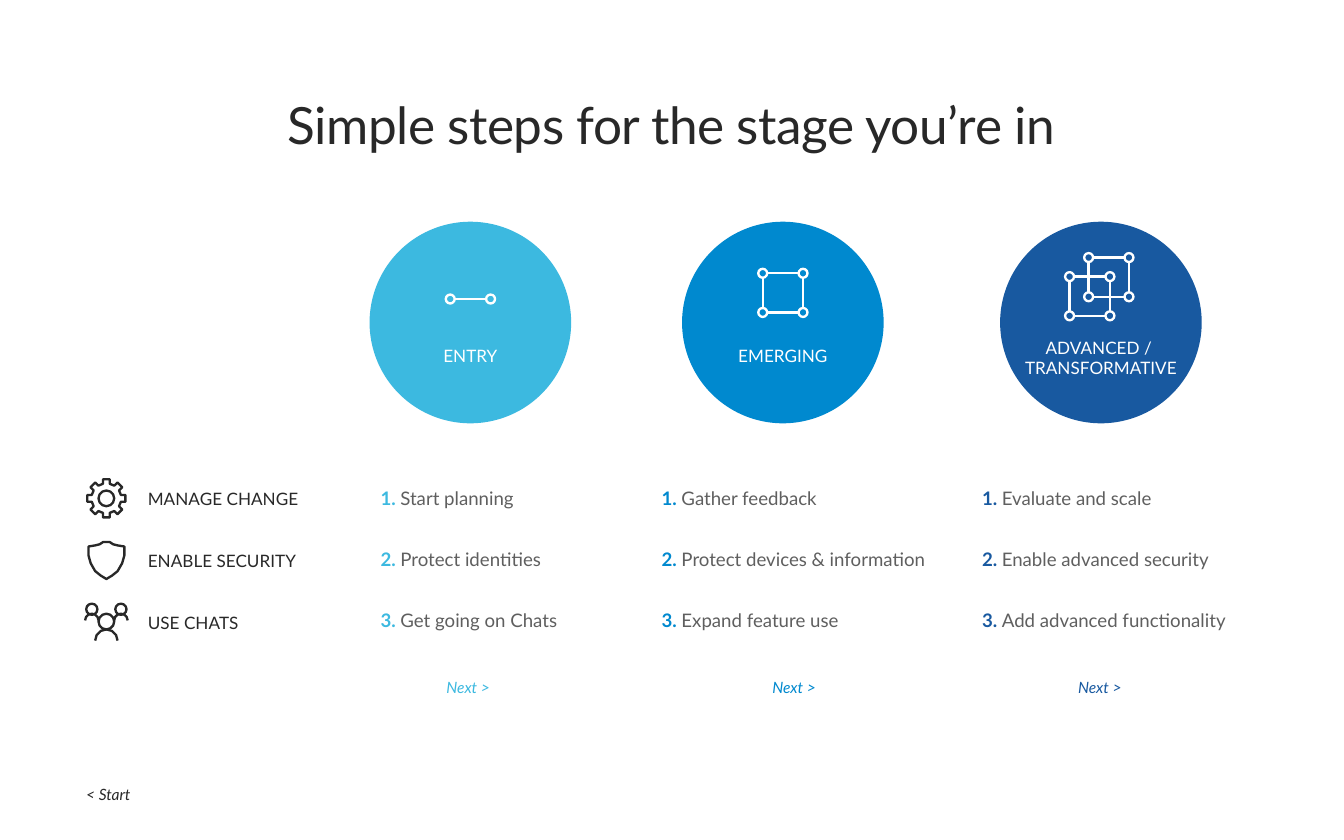
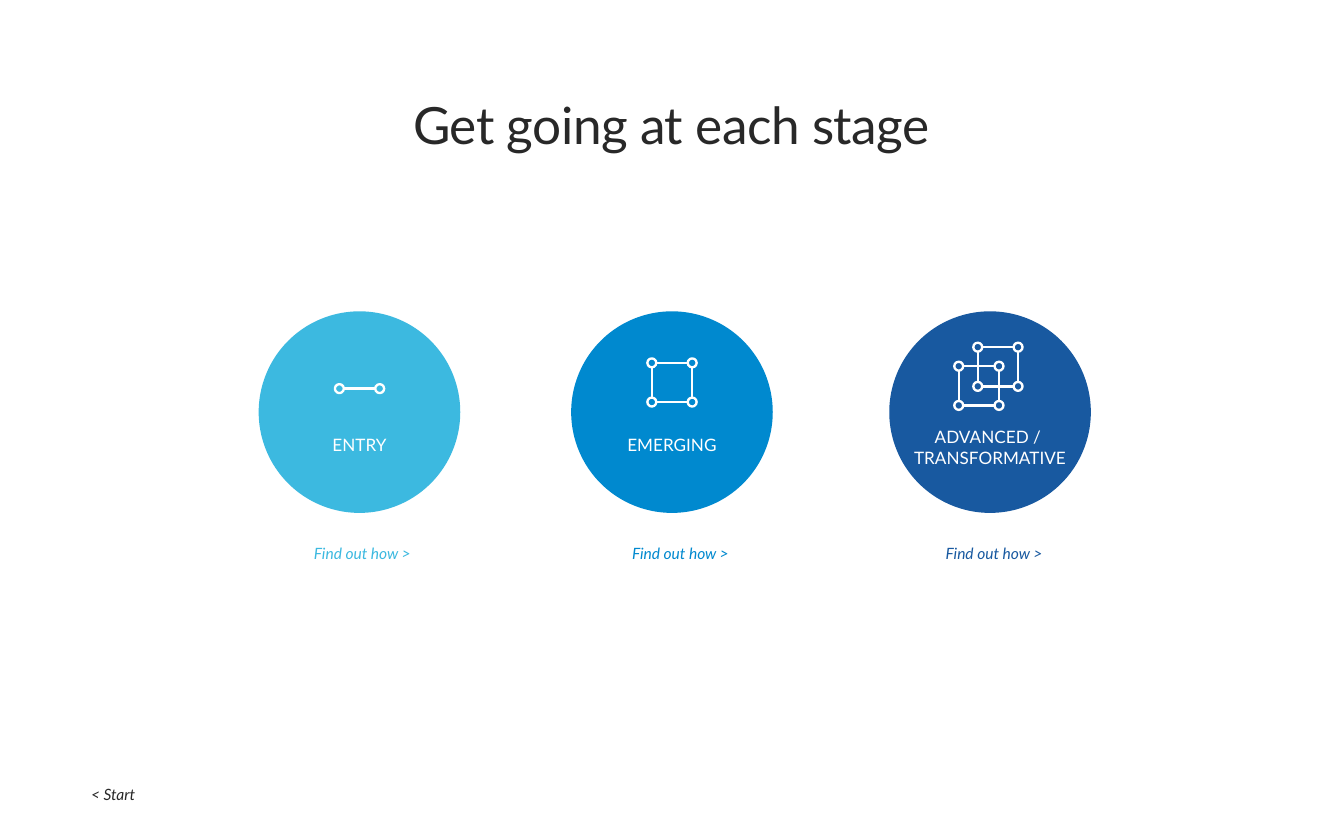
import math

import pptx
import pptx.dml.color
import pptx.enum.shapes
import pptx.enum.text
import pptx.util
import lxml.etree

RGB = pptx.dml.color.RGBColor
ALIGN = pptx.enum.text.PP_ALIGN
ANCHOR = pptx.enum.text.MSO_ANCHOR
OVAL = pptx.enum.shapes.MSO_SHAPE.OVAL
STRAIGHT = pptx.enum.shapes.MSO_CONNECTOR.STRAIGHT

# Shared look
FONT = "Lato"
INK = RGB(0x28, 0x28, 0x28)
GREY = RGB(0x5F, 0x5F, 0x5F)
WHITE = RGB(0xFF, 0xFF, 0xFF)
SKY = RGB(0x3C, 0xB9, 0xE0)
BLUE = RGB(0x00, 0x89, 0xCF)
NAVY = RGB(0x18, 0x59, 0xA0)
TINTS = [SKY, BLUE, NAVY]

# Slide grid: 12 columns by 7.5 rows of square cells
WIDE = pptx.util.Inches(12)
HIGH = pptx.util.Inches(7.5)
CELL = WIDE / 12

DISC = 1.8
NODE = 0.08
SIDE_X, SIDE_Y = 0.36, 0.35
ROWS = [4.45, 5, 5.55]
STEP_TOPS = [4.35, 4.89, 5.44]
LINK_PAD = (0.13, 0.08)

# Label, its width and height, and the corners where squares start in a disc
STAGES = [
    ("ENTRY", 1.43, 0.19, [(0.72, 0.69)]),
    ("EMERGING", 1.71, 0.19, [(0.72, 0.46)]),
    ("ADVANCED / \vTRANSFORMATIVE", 1.82, 0.37, [(0.62, 0.49), (0.79, 0.32)]),
]
SHIFTS = [0, 2.79, 5.63]

# Left edge, then each step with its width
STEPS = [
    (3.3, [("Start planning", 1.9), ("Protect identities", 1.9),
           ("Get going on Chats", 2.09)]),
    (5.81, [("Gather feedback", 1.9), ("Protect devices & information", 2.67),
            ("Expand feature use", 1.9)]),
    (8.67, [("Evaluate and scale", 1.9), ("Enable advanced security", 2.34),
            ("Add advanced functionality", 2.68)]),
]


def grid(*cells):
    return [round(n * CELL) for n in cells]


def write(frame, runs, size=11, color=INK, italic=False, align=ALIGN.LEFT,
          anchor=ANCHOR.TOP, pad=(0, 0), wrap=True, lead=None, track=None):
    """Fill a frame with runs of (words, colour or None, bold)."""
    frame.word_wrap = wrap
    frame.auto_size = pptx.enum.text.MSO_AUTO_SIZE.NONE
    frame.vertical_anchor = anchor
    frame.margin_left = frame.margin_right = pptx.util.Inches(pad[0])
    frame.margin_top = frame.margin_bottom = pptx.util.Inches(pad[1])
    para = frame.paragraphs[0]
    para.alignment = align
    if lead:
        para.line_spacing = lead
    for words, tint, bold in runs:
        for i, line in enumerate(words.split("\v")):
            if i:
                para.add_line_break()
            run = para.add_run()
            run.text = line
            run.font.name = FONT
            run.font.size = pptx.util.Pt(size)
            run.font.bold = bold
            run.font.italic = italic
            run.font.color.rgb = tint or color
            if track:
                run.font._element.set("spc", str(track))


def text(shapes, box, words, **form):
    runs = [(words, None, False)] if isinstance(words, str) else words
    write(shapes.add_textbox(*grid(*box)).text_frame, runs, **form)


def link(slide, box, words, color, align=ALIGN.CENTER):
    text(slide.shapes, box, words, size=10, color=color, italic=True,
         align=align, pad=LINK_PAD, wrap=False)


def pen(shape, color):
    shape.line.color.rgb = color
    shape.line.width = pptx.util.Pt(1.5)


# Stage discs with their line icons
def oval(shapes, box):
    shape = shapes.add_shape(OVAL, *grid(*box))
    shape.shadow.inherit = False
    return shape


def ring(shapes, x, y, size, color):
    shape = oval(shapes, (x - size / 2, y - size / 2, size, size))
    shape.fill.background()
    pen(shape, color)


def square(shapes, left, top, flat):
    """Nodes at the corners and lines between their rims; flat is one side."""
    right, low, half = left + SIDE_X, top + SIDE_Y, NODE / 2
    rows = [top] if flat else [top, low]
    lines = [(left + half, y, right - half, y) for y in rows]
    if not flat:
        lines += [(x, top + half, x, low - half) for x in (left, right)]
    for y in rows:
        for x in (left, right):
            ring(shapes, x, y, NODE, WHITE)
    for ends in lines:
        line = shapes.add_connector(STRAIGHT, *grid(*ends))
        pen(line, WHITE)
        lxml.etree.SubElement(line._element.spPr,
                              pptx.oxml.ns.qn("a:effectLst"))


def stage(slide, left, top, color, label, width, height, marks):
    shapes = slide.shapes.add_group_shape().shapes
    disc = oval(shapes, (left, top, DISC, DISC))
    disc.fill.solid()
    disc.fill.fore_color.rgb = color
    disc.line.fill.background()
    drop = 1.03 if len(marks) > 1 else 1.1
    text(shapes, (left + (DISC - width) / 2, top + drop, width, height), label,
         color=WHITE, align=ALIGN.CENTER)
    for x, y in marks:
        square(shapes, left + x, top + y, label == "ENTRY")


def stages(slide, left, top):
    for shift, color, parts in zip(SHIFTS, TINTS, STAGES):
        stage(slide, left + shift, top, color, *parts)


# Row icons: lists of (points, closed) around a centre
def arc(x, y, size, start=0, end=360):
    """Points every 30 degrees; a full turn closes on itself."""
    full = end - start == 360
    turns = [math.radians(a) for a in range(start, end if full else end + 1, 30)]
    return [(x + size * math.cos(t), y + size * math.sin(t)) for t in turns], full


def gear():
    rim = []
    for tooth in range(8):
        turn = tooth * math.pi / 4
        for out, side in ((0.13, -0.03), (0.17, -0.03), (0.17, 0.03), (0.13, 0.03)):
            rim.append((out * math.cos(turn) - side * math.sin(turn),
                        out * math.sin(turn) + side * math.cos(turn)))
    return [(rim, True)]


def shield():
    half = [(0, -0.16), (0.03, -0.16), (0.06, -0.14), (0.1, -0.13), (0.16, -0.12),
            (0.16, -0.04), (0.14, 0.03), (0.1, 0.1), (0.05, 0.14), (0, 0.17)]
    return [(half + [(-x, y) for x, y in half[-2:0:-1]], True)]


def people():
    curves = [arc(0, 0, 0.07), arc(0, 0.17, 0.1, 180, 360)]
    for x in (-0.13, 0.13):
        curves += [arc(x, -0.11, 0.05), arc(x, -0.01, 0.06, 180, 360)]
    return curves


def icon(slide, x, y, curves):
    path = None
    for points, closed in curves:
        spots = [grid(x + a, y + b) for a, b in points]
        if path is None:
            path = slide.shapes.build_freeform(*spots[0])
        else:
            path.move_to(*spots[0])
        path.add_line_segments(spots[1:], close=closed)
    shape = path.convert_to_shape()
    shape.shadow.inherit = False
    shape.fill.background()
    pen(shape, INK)


# Regions of the first slide
def topics(slide, left):
    labels = [("MANAGE CHANGE", gear), ("ENABLE SECURITY", shield),
              ("USE CHATS", people)]
    for mid, (label, draw) in zip(ROWS, labels):
        icon(slide, left, mid, draw())
        text(slide.shapes, (left + 0.37, mid - 0.09, 1.71, 0.19), label,
             anchor=ANCHOR.MIDDLE)
    ring(slide.shapes, left, ROWS[0], 0.14, INK)


def steps(slide, left, color, items):
    for i, (top, (words, width)) in enumerate(zip(STEP_TOPS, items), 1):
        text(slide.shapes, (left, top, width, 0.2),
             [(f"{i}. ", color, True), (words, GREY, False)],
             size=12, pad=(0.1, 0))


# Slide frame: title and way back
def page(deck, title, height, back, align):
    slide = deck.slides.add_slide(deck.slide_layouts[5])
    head = slide.shapes.title
    head.left, head.top, head.width, head.height = grid(0.26, 0.79, 11.47, height)
    write(head.text_frame, [(title, None, False)], size=33, align=ALIGN.CENTER,
          pad=(0.16, 0.1), lead=0.9, track=-30)
    link(slide, (back, 6.93, 1.44, 0.36), "< Start", INK, align)
    return slide


def plan(deck):
    slide = page(deck, "Simple steps for the stage you’re in", 0.65, 0.64, ALIGN.LEFT)
    topics(slide, 0.95)
    for (left, items), color, next_x in zip(STEPS, TINTS, (3.46, 6.37, 9.1)):
        steps(slide, left, color, items)
        link(slide, (next_x, 5.97, 1.44, 0.36), "Next >", color)
    stages(slide, 3.3, 1.98)


def guide(deck):
    slide = page(deck, "Get going at each stage", 0.98, 0.29, ALIGN.CENTER)
    for left, color in zip((2.6, 5.44, 8.24), TINTS):
        link(slide, (left, 4.78, 1.27, 0.28), "Find out how >", color)
    stages(slide, 2.31, 2.78)


def main():
    deck = pptx.Presentation()
    deck.slide_width, deck.slide_height = WIDE, HIGH
    plan(deck)
    guide(deck)
    deck.save("out.pptx")


if __name__ == "__main__":
    main()
